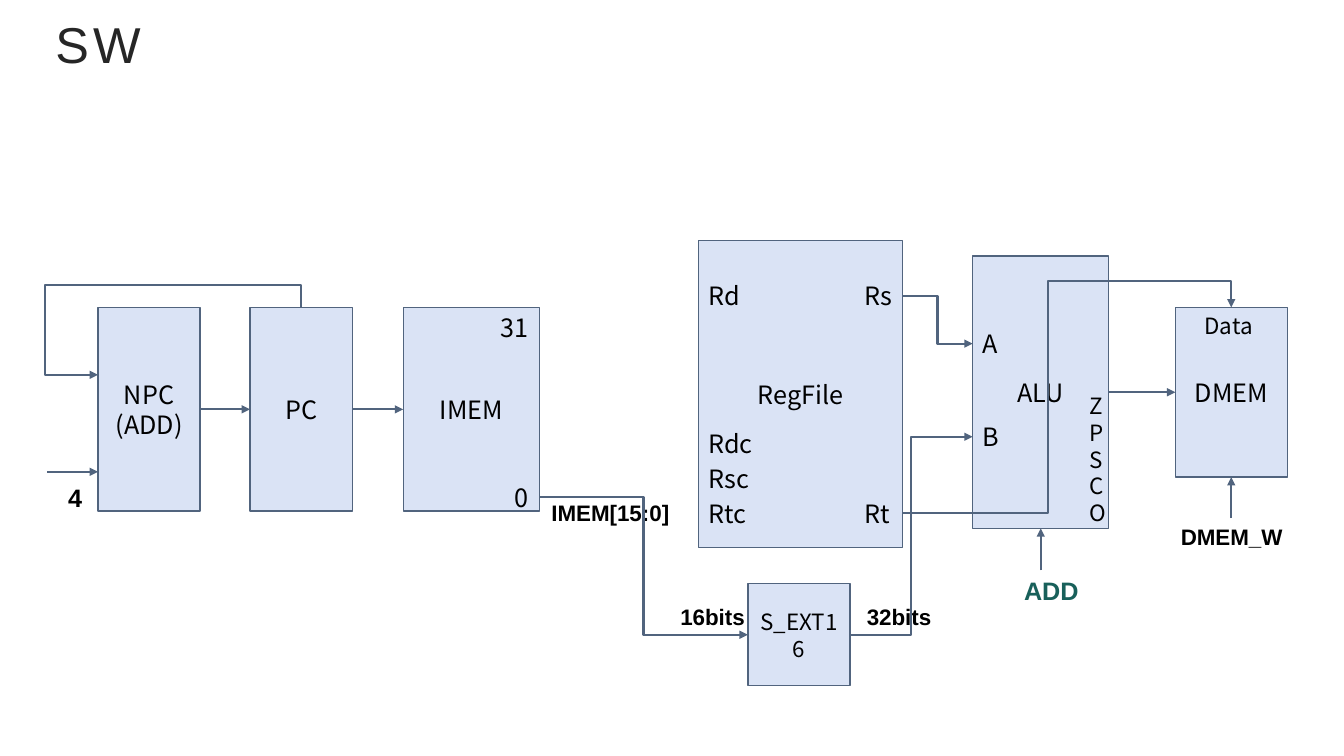
from pptx import Presentation
from pptx.dml.color import RGBColor
from pptx.enum.shapes import MSO_CONNECTOR as CONN, MSO_SHAPE as SHAPE
from pptx.enum.text import MSO_ANCHOR as ANCHOR, PP_ALIGN as AL
from pptx.oxml.ns import qn
from pptx.util import Pt
from lxml.etree import SubElement

COLORS = {"fill": "DAE3F5", "line": "51647E", "text": "000000",
          "title": "262626", "control": "18605A"}
CJK, ARIAL = "Noto Sans CJK JP", "Arial"
TOP, BOTTOM, LEFT, RIGHT = 0, 2, 1, 3


def rgb(name):
    """Return the named colour."""
    return RGBColor.from_string(COLORS[name])


def write(tf, text, size=18, font=CJK, color="text", bold=False,
          align=AL.CENTER, anchor=ANCHOR.TOP, spacing=None):
    """Fill a text frame with one paragraph per line of text."""
    tf.word_wrap = True
    tf.vertical_anchor = anchor
    for i, line in enumerate(text.split("\n")):
        p = tf.add_paragraph() if i else tf.paragraphs[0]
        p.alignment = align
        r = p.add_run()
        r.text = line
        r.font.size, r.font.name, r.font.bold = Pt(size), font, bold
        r.font.color.rgb = rgb(color)
        if spacing:
            r.font._element.set("spc", str(spacing * 100))


def add_title(s, text):
    """Place and format the slide title."""
    sp = s.shapes.title
    sp.left, sp.top, sp.width, sp.height = Pt(32.4), Pt(3), Pt(864), Pt(55.4)
    write(sp.text_frame, text, size=36, font=ARIAL, color="title",
          align=AL.LEFT, anchor=ANCHOR.MIDDLE, spacing=3)


def add_block(s, text, x, y, w, h, size=18):
    """Add a datapath block with its name in the middle."""
    sp = s.shapes.add_shape(SHAPE.RECTANGLE, Pt(x), Pt(y), Pt(w), Pt(h))
    sp.shadow.inherit = False
    sp.fill.solid()
    sp.fill.fore_color.rgb = rgb("fill")
    sp.line.color.rgb = rgb("line")
    sp.line.width = Pt(1)
    write(sp.text_frame, text, size=size, anchor=ANCHOR.MIDDLE)
    return sp


def add_label(s, text, x, y, w, h=29, **fmt):
    """Add a port or signal label."""
    sp = s.shapes.add_textbox(Pt(x), Pt(y), Pt(w), Pt(h))
    write(sp.text_frame, text, **fmt)


def add_wire(s, begin, end, kind=CONN.ELBOW):
    """Add an arrow between two points."""
    cxn = s.shapes.add_connector(kind, *(Pt(v) for v in begin + end))
    cxn.line.color.rgb = rgb("line")
    cxn.line.width = Pt(1.5)
    sp_pr = cxn._element.spPr
    SubElement(sp_pr.find(qn("a:ln")), qn("a:tailEnd"), type="triangle")
    SubElement(sp_pr, qn("a:effectLst"))
    return cxn


def add_detour(s, begin, end, adjust, turn=0):
    """Add an arrow with three bends, turned by some degrees."""
    sp_pr = add_wire(s, begin, end)._element.spPr
    sp_pr.find(qn("a:xfrm")).set("rot", str(turn * 60000))
    geom = sp_pr.find(qn("a:prstGeom"))
    geom.set("prst", "bentConnector4")
    guides = geom.find(qn("a:avLst"))
    for i, value in enumerate(adjust, 1):
        SubElement(guides, qn("a:gd"), name=f"adj{i}", fmla=f"val {value}")


def add_link(s, begin, end, source=None, target=None, side=LEFT):
    """Add a straight arrow joined to the given blocks."""
    cxn = add_wire(s, begin, end, CONN.STRAIGHT)
    if source:
        cxn.begin_connect(source, RIGHT)
    if target:
        cxn.end_connect(target, side)


def main():
    """Build the SW datapath slide."""
    prs = Presentation()
    prs.slide_width, prs.slide_height = Pt(960), Pt(540)
    s = prs.slides.add_slide(prs.slide_layouts[5])
    add_title(s, "SW")

    npc = add_block(s, "NPC\n(ADD)", 70, 219.6, 73, 145.6)
    pc = add_block(s, "PC", 178.6, 219.6, 73, 145.6)
    imem = add_block(s, "IMEM", 288, 219.6, 97.2, 145.6)
    add_block(s, "RegFile", 499, 172, 145.5, 219)
    alu = add_block(s, "ALU", 694.8, 183, 97.2, 194.4)
    add_block(s, "S_EXT16", 534.2, 416.9, 73, 73, size=16)
    dmem = add_block(s, "DMEM", 839.5, 219.6, 80, 121.2)

    add_label(s, "31", 339.2, 219.6, 45.4, align=AL.RIGHT)
    add_label(s, "0", 352.8, 340.6, 31.7, align=AL.RIGHT)
    ports = [("Rd", 499, 196.6), ("Rdc", 499, 302.4), ("Rsc", 499, 327.6),
             ("Rtc", 499, 352.4), ("Rs", 610.6, 196.6), ("Rt", 610.6, 352.4),
             ("A", 694.8, 231.1), ("B", 694.8, 297.6)]
    for name, x, y in ports:
        add_label(s, name, x, y, 48, align=AL.LEFT)
    add_label(s, "ZPSCO", 771.1, 276.5, 20.9, 93.6, size=16)
    add_label(s, "Data", 851, 219.6, 53.3, size=16)

    signals = [("4", 37.4, 340.6, 32.4, 18, "text"),
               ("16bits", 476, 427, 66, 16, "text"),
               ("32bits", 606.2, 427, 72, 16, "text"),
               ("IMEM[15:0]", 374.4, 352.8, 123.2, 16, "text"),
               ("DMEM_W", 833, 370.1, 93.6, 16, "text"),
               ("ADD", 704.2, 407.5, 93.6, 18, "control")]
    for name, x, y, w, size, color in signals:
        add_label(s, name, x, y, w, size=size, font=ARIAL, color=color, bold=True)

    add_link(s, (143, 292.4), (178.6, 292.4), npc, pc)
    add_link(s, (251.6, 292.4), (288, 292.4), pc, imem)
    add_link(s, (792, 280.2), (839.5, 280.2), alu, dmem)
    add_link(s, (33.8, 337), (70, 337))
    add_link(s, (743.4, 407.5), (743.4, 377.4), target=alu, side=BOTTOM)
    add_link(s, (879.5, 370.1), (879.5, 340.8), target=dmem, side=BOTTOM)
    add_wire(s, (385.2, 355), (534.2, 453.4))
    add_wire(s, (607.2, 453.4), (694.8, 312))
    add_wire(s, (644.5, 211.7), (694.8, 245.5))
    add_detour(s, (644.5, 366.5), (879.5, 219.6), (44300, 112700))
    add_detour(s, (166.65, 316.25), (118.45, 171.15), (-33300, 126100), turn=270)
    prs.save("out.pptx")


if __name__ == "__main__":
    main()
